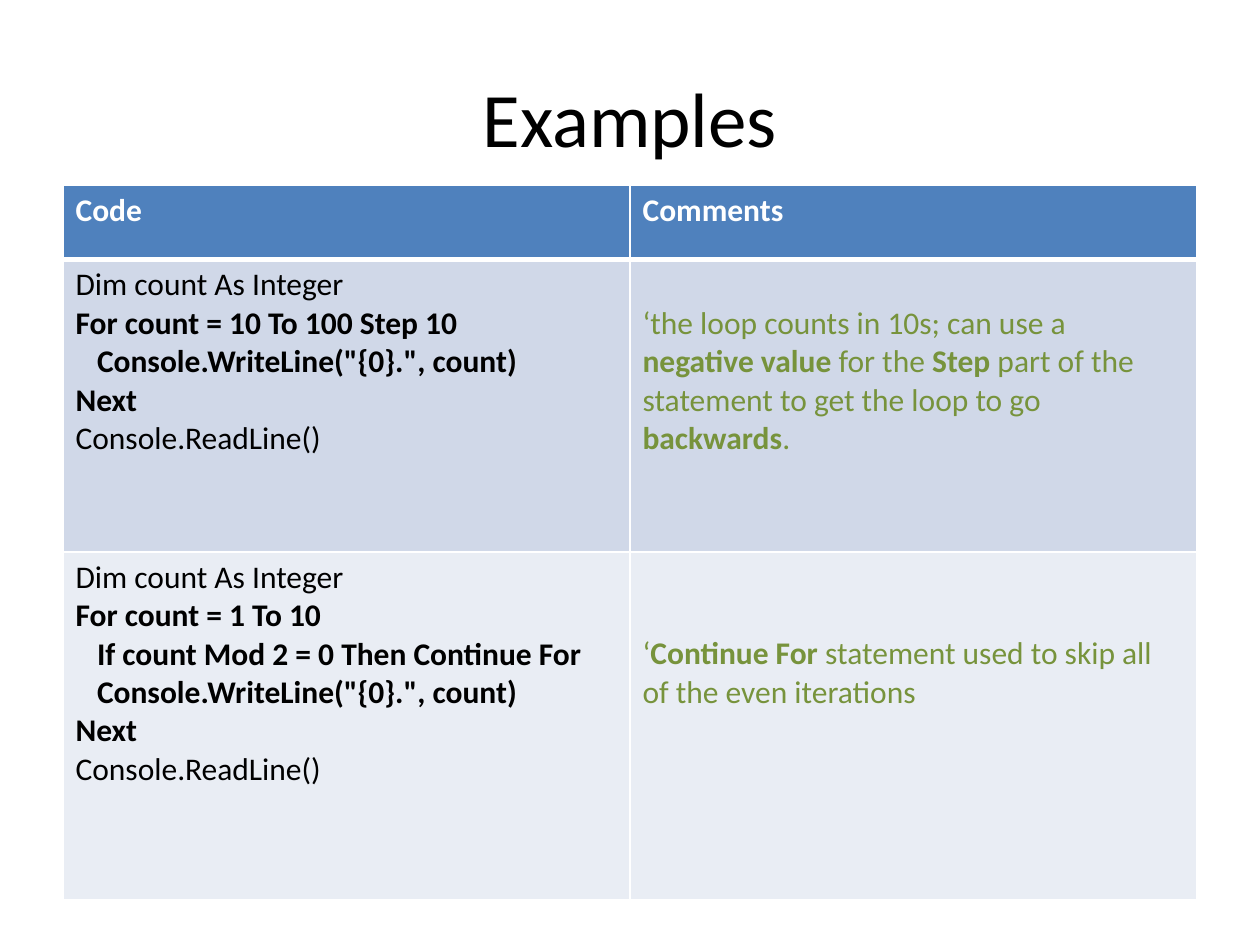
from lxml import etree
from pptx import Presentation
from pptx.dml.color import RGBColor
from pptx.enum.text import MSO_ANCHOR, PP_ALIGN
from pptx.oxml.ns import qn
from pptx.util import Inches, Pt

MIDDLE = MSO_ANCHOR.MIDDLE
LEFT, CENTER = PP_ALIGN.LEFT, PP_ALIGN.CENTER
FONT = "Calibri"
BLACK, WHITE, GREEN = "000000", "FFFFFF", "77933C"
HEADER_FILL = "4F81BD"
BODY_FILLS = ("D0D8E8", "E9EDF4")
LINE_HEIGHT = 0.305
CODE_INDENT = 0.17
ROW_HEIGHTS = (0.59, 2.32, 2.76)
HEADINGS = ("Code", "Comments")

# Each code line is (text, bold, indent level); each comment is (text, bold) spans.
EXAMPLES = (
    {
        "code": (
            ("Dim count As Integer", False, 0),
            ("For count = 10 To 100 Step 10", True, 0),
            ('Console.WriteLine("{0}.", count)', True, 1),
            ("Next", True, 0),
            ("Console.ReadLine()", False, 0),
        ),
        "comment": (
            ("‘the loop counts in 10s; can use a ", False),
            ("negative value ", True),
            ("for the ", False),
            ("Step", True),
            (" part of the statement to get the loop to go ", False),
            ("backwards", True),
            (".", False),
        ),
        "lines_down": 1,
    },
    {
        "code": (
            ("Dim count As Integer", False, 0),
            ("For count = 1 To 10", True, 0),
            ("If count Mod 2 = 0 Then Continue For", True, 1),
            ('Console.WriteLine("{0}.", count)', True, 1),
            ("Next", True, 0),
            ("Console.ReadLine()", False, 0),
        ),
        "comment": (
            ("‘", False),
            ("Continue For", True),
            (" statement used to skip all of the even iterations", False),
        ),
        "lines_down": 2,
    },
)


def color(value):
    """Turn a hex string into a colour."""
    return RGBColor.from_string(value)


def add_text(para, text, size=18, ink=BLACK, bold=False, align=LEFT):
    """Add a formatted span of text to a paragraph."""
    para.alignment = align
    span = para.add_run()
    span.text = text
    span.font.name = FONT
    span.font.size = Pt(size)
    span.font.bold = bold
    span.font.color.rgb = color(ink)


def style_cell(cell, fill, top=1, bottom=1):
    """Give a cell white borders and a solid fill."""
    properties = cell._tc.get_or_add_tcPr()
    for side, width in (("L", 1), ("R", 1), ("T", top), ("B", bottom)):
        line = etree.SubElement(properties, qn(f"a:ln{side}"), w=str(Pt(width)))
        solid = etree.SubElement(line, qn("a:solidFill"))
        etree.SubElement(solid, qn("a:srgbClr"), val=WHITE)
    cell.fill.solid()
    cell.fill.fore_color.rgb = color(fill)


def write_code(cell, lines):
    """Write one paragraph per code line, indented by level."""
    frame = cell.text_frame
    for index, (text, bold, level) in enumerate(lines):
        para = frame.add_paragraph() if index else frame.paragraphs[0]
        para._p.get_or_add_pPr().set("marL", str(Inches(level * CODE_INDENT)))
        add_text(para, text, bold=bold)


def write_comment(cell, spans, lines_down):
    """Write a comment that starts level with its line of code."""
    cell.margin_top = Inches(0.05 + lines_down * LINE_HEIGHT)
    for text, bold in spans:
        add_text(cell.text_frame.paragraphs[0], text, ink=GREEN, bold=bold)


def add_title(page, left, top, width, height):
    """Place the centred slide title."""
    box = page.shapes.add_textbox(
        Inches(left), Inches(top), Inches(width), Inches(height))
    frame = box.text_frame
    frame.word_wrap = True
    frame.vertical_anchor = MIDDLE
    add_text(frame.paragraphs[0], "Examples", size=44, align=CENTER)


def add_examples(page, left, top, width):
    """Place the table of code examples and comments."""
    table = page.shapes.add_table(
        len(ROW_HEIGHTS), len(HEADINGS), Inches(left), Inches(top),
        Inches(width), Inches(sum(ROW_HEIGHTS))).table
    for row, height in zip(table.rows, ROW_HEIGHTS):
        row.height = Inches(height)
    for column, heading in enumerate(HEADINGS):
        table.columns[column].width = Inches(width / len(HEADINGS))
        cell = table.cell(0, column)
        style_cell(cell, HEADER_FILL, bottom=3)
        add_text(cell.text_frame.paragraphs[0], heading, ink=WHITE, bold=True)
    for row, (example, fill) in enumerate(zip(EXAMPLES, BODY_FILLS), start=1):
        code, comment = table.cell(row, 0), table.cell(row, 1)
        for cell in (code, comment):
            style_cell(cell, fill, top=3 if row == 1 else 1)
        write_code(code, example["code"])
        write_comment(comment, example["comment"], example["lines_down"])


def main():
    """Build and save the slide."""
    deck = Presentation()
    deck.slide_width, deck.slide_height = Inches(10), Inches(7.5)
    page = deck.slides.add_slide(deck.slide_layouts[6])
    add_title(page, 0.5, 0.3, 9, 1.25)
    add_examples(page, 0.5, 1.47, 9)
    deck.save("out.pptx")


main()
